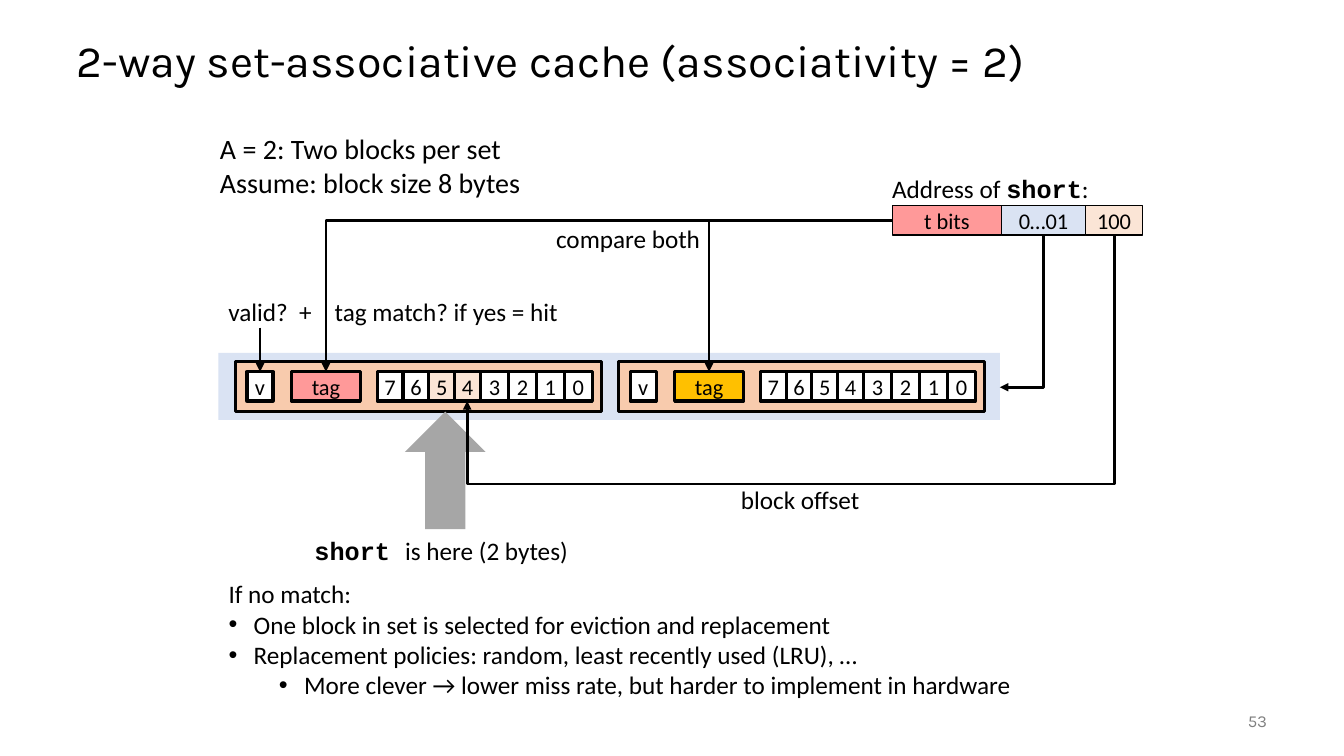
from lxml.etree import SubElement
from pptx import Presentation
from pptx.dml.color import RGBColor
from pptx.enum.shapes import MSO_CONNECTOR, MSO_SHAPE
from pptx.enum.text import MSO_ANCHOR, MSO_AUTO_SIZE, PP_ALIGN
from pptx.oxml.ns import qn
from pptx.util import Inches, Pt

HUES = {
    "black": "000000", "white": "FFFFFF", "grey": "A6A6A6", "dim": "808080",
    "pink": "FF9999", "blue": "DAE3F3", "peach": "FBE5D6",
    "block": "F8CBAD", "gold": "FFC000",
}
HUES = {name: RGBColor.from_string(code) for name, code in HUES.items()}

deck = Presentation()
deck.slide_width, deck.slide_height = Inches(13.33), Inches(7.5)
UNIT = deck.slide_height / 90  # the slide is a grid of 160 columns by 90 rows
slide = deck.slides.add_slide(deck.slide_layouts[1])
shapes = slide.shapes


def grid(*spots):
    return [round(spot * UNIT) for spot in spots]


def box(x, y, wide, high, fill, text="", line=0, kind=MSO_SHAPE.RECTANGLE):
    """Add a filled shape; a line width of 0 means no outline."""
    shape = shapes.add_shape(kind, *grid(x, y, wide, high))
    shape.shadow.inherit = False
    shape.fill.solid()
    shape.fill.fore_color.rgb = HUES[fill]
    if line:
        shape.line.color.rgb = HUES["black"]
        shape.line.width = Pt(line)
    else:
        shape.line.fill.background()
    if text:
        frame = shape.text_frame
        frame.word_wrap = False
        frame.vertical_anchor = MSO_ANCHOR.MIDDLE
        frame.text = text
        frame.paragraphs[0].alignment = PP_ALIGN.CENTER
        font = frame.paragraphs[0].runs[0].font
        font.name, font.size = "Calibri", Pt(16)
        font.color.rgb = HUES["black"]
    return shape


# Title
title = shapes.title
title.left, title.top, title.width, title.height = grid(7.92, 3, 144, 9)
title.text_frame.text = "2-way set-associative cache (associativity = 2)"
title.text_frame.vertical_anchor = MSO_ANCHOR.MIDDLE
title.text_frame.auto_size = MSO_AUTO_SIZE.NONE
head = title.text_frame.paragraphs[0]
head.alignment, head.line_spacing = PP_ALIGN.LEFT, 0.9
font = head.runs[0].font
font.name, font.size, font.color.rgb = "Karla", Pt(32), HUES["black"]

# Address fields
fields = []
left = 106.2
for text, wide, fill in [("t bits", 13, "pink"), ("0…01", 10, "blue"), ("100", 6.8, "peach")]:
    fields.append(box(left, 24.45, wide, 3.55, fill, text, 1))
    left += wide

# The set with its two blocks
box(26, 42, 93, 8, "blue")
valids, tags = [], []
for way, (hue, hits) in enumerate([("pink", "54"), ("gold", "")]):
    left = 28 + 45.6 * way
    box(left, 43, 43.6, 6, "block", line=2.25)
    valids.append(box(left + 1.4, 44.25, 3.1, 3.5, "white", "v", 2.25))
    tags.append(box(left + 6.7, 44.25, 8.2, 3.5, hue, "tag", 2.25))
    left += 16.9
    for byte in "76543210":
        wide = 3.07 if byte > "3" else 3.33
        fill = "peach" if byte in hits else "white"
        box(left, 44.25, wide, 3.5, fill, byte, 2.25)
        left += wide

box(48.2, 49, 9.6, 14, "grey", kind=MSO_SHAPE.UP_ARROW)

# Labels
labels = [
    (25, 15.1, 38.5, 9.2, 20, ["A = 2: Two blocks per set", "Assume: block size 8 bytes"]),
    (105, 20.05, 26, 4.8, 18, [("Address of ", "short", ":")]),
    (65, 26.05, 20, 4.8, 18, ["compare both"]),
    (26, 34.7, 13.4, 4.8, 18, ["valid?  +"]),
    (38.65, 34.7, 29.9, 4.8, 18, ["tag match? if yes = hit"]),
    (87, 57.1, 17, 4.8, 18, ["block offset"]),
    (36.25, 63.1, 32.9, 4.8, 18, [("short ", "is here (2 bytes)")]),
]
for x, y, wide, high, size, lines in labels:
    frame = shapes.add_textbox(*grid(x, y, wide, high)).text_frame
    frame.word_wrap = False
    for row, line in enumerate(lines):
        para = frame.add_paragraph() if row else frame.paragraphs[0]
        for part in [line] if isinstance(line, str) else line:
            run = para.add_run()
            run.text = part
            run.font.bold = part.strip() == "short"
            run.font.name = "Courier New" if run.font.bold else "Calibri"
            run.font.size = Pt(size)
            run.font.color.rgb = HUES["black"]

# What happens without a match
body = slide.placeholders[1]
body.left, body.top, body.width, body.height = grid(26, 68.3, 96.6, 15.7)
frame = body.text_frame
frame.word_wrap, frame.auto_size = False, MSO_AUTO_SIZE.NONE
points = [
    ("If no match:", 0, 0),
    ("One block in set is selected for eviction and replacement", 0, 0.25),
    ("Replacement policies: random, least recently used (LRU), …", 0, 0.25),
    ("More clever → lower miss rate, but harder to implement in hardware", 1, 0.75),
]
for row, (text, level, indent) in enumerate(points):
    para = frame.add_paragraph() if row else frame.paragraphs[0]
    para.text = text
    para.level = level
    para.space_before = Pt(0)
    props = para._p.get_or_add_pPr()
    props.set("marL", str(Inches(indent)))
    props.set("indent", str(Inches(-0.25 if indent else 0)))
    if indent:
        SubElement(props, qn("a:buFont"), typeface="Arial")
        SubElement(props, qn("a:buChar"), char="•")
    else:
        SubElement(props, qn("a:buNone"))
    font = para.runs[0].font
    font.name, font.size, font.color.rgb = "Calibri", Pt(18), HUES["black"]

# Arrows: start, end, preset, quarter turn, joined shapes
arrows = [
    (124.2, 28, 119, 46.1, "bentConnector2", True, None),
    (106.2, 26.2, 84.4, 44.25, "bentConnector2", False, (fields[0], tags[1])),
    (106.2, 26.2, 38.8, 44.25, "bentConnector2", False, (fields[0], tags[0])),
    (30.95, 39, 30.95, 44.25, "line", False, (None, valids[0])),
    (132.6, 28, 55.6, 47.75, "bentConnector3", True, None),
]
for x1, y1, x2, y2, preset, turn, ends in arrows:
    if turn:  # the frame of a turned connector swaps width and height
        midx, midy = (x1 + x2) / 2, (y1 + y2) / 2
        wide, high = y2 - y1, x1 - x2
        x1, x2 = midx - wide / 2, midx + wide / 2
        y1, y2 = midy - high / 2, midy + high / 2
    kind = MSO_CONNECTOR.STRAIGHT if preset == "line" else MSO_CONNECTOR.ELBOW
    arrow = shapes.add_connector(kind, *grid(x1, y1, x2, y2))
    if ends:
        start, goal = ends
        if start:
            arrow.begin_connect(start, 1)
        arrow.end_connect(goal, 0)
    arrow.line.color.rgb = HUES["black"]
    arrow.line.width = Pt(2)
    props = arrow._element.spPr
    shape = props.find(qn("a:prstGeom"))
    shape.set("prst", preset)
    if turn:
        props.find(qn("a:xfrm")).set("rot", "5400000")
    if preset == "bentConnector3":
        guides = shape.find(qn("a:avLst"))
        SubElement(guides, qn("a:gd"), name="adj1", fmla="val 150000")
    SubElement(props.find(qn("a:ln")), qn("a:tailEnd"), type="triangle")
    SubElement(props, qn("a:effectLst"))

# Slide number
frame = shapes.add_textbox(*grid(140, 83.4, 12, 4.8)).text_frame
frame.word_wrap = True
frame.vertical_anchor = MSO_ANCHOR.MIDDLE
frame.text = "53"
frame.paragraphs[0].alignment = PP_ALIGN.RIGHT
font = frame.paragraphs[0].runs[0].font
font.name, font.size, font.color.rgb = "Karla", Pt(12), HUES["dim"]

deck.save("out.pptx")
